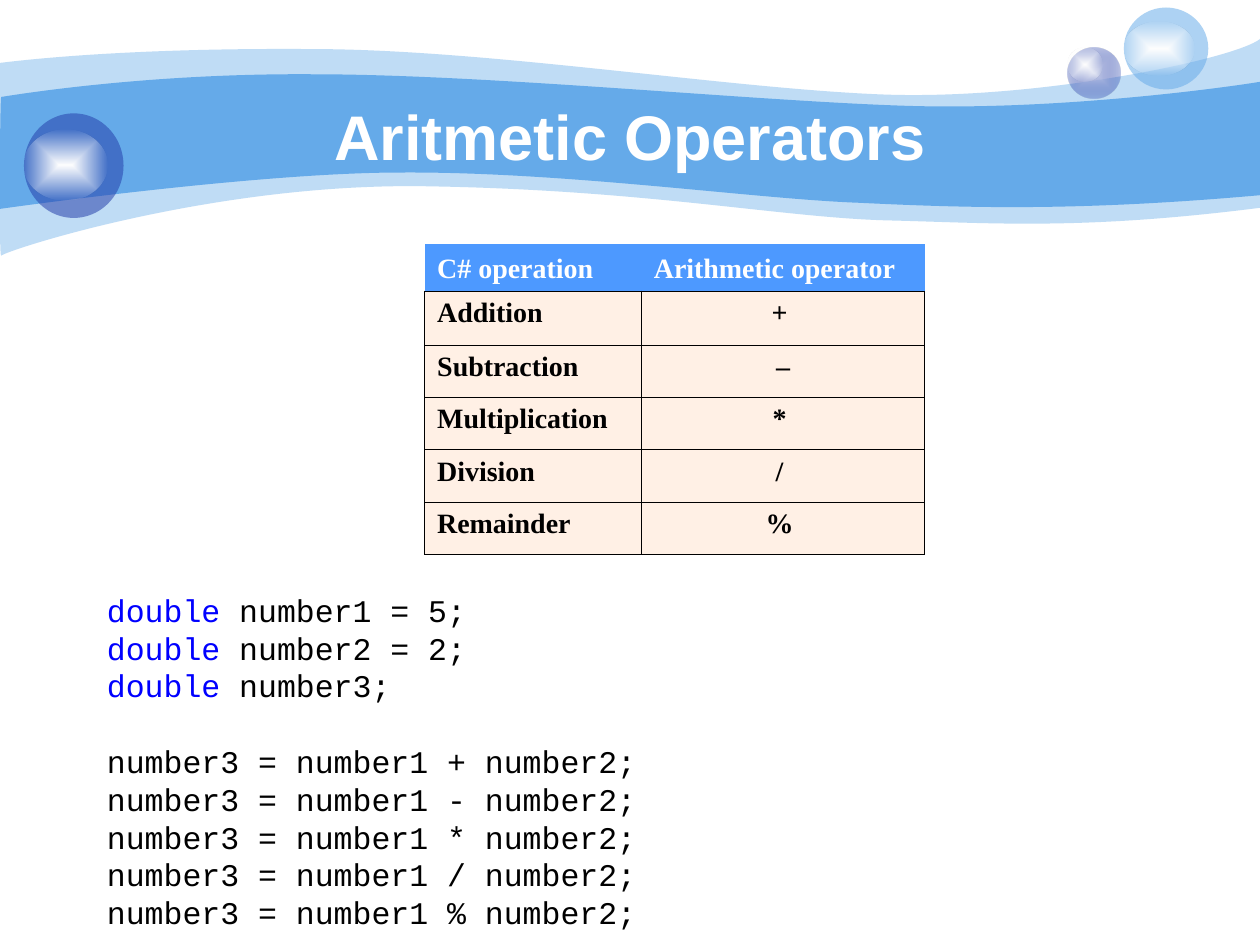
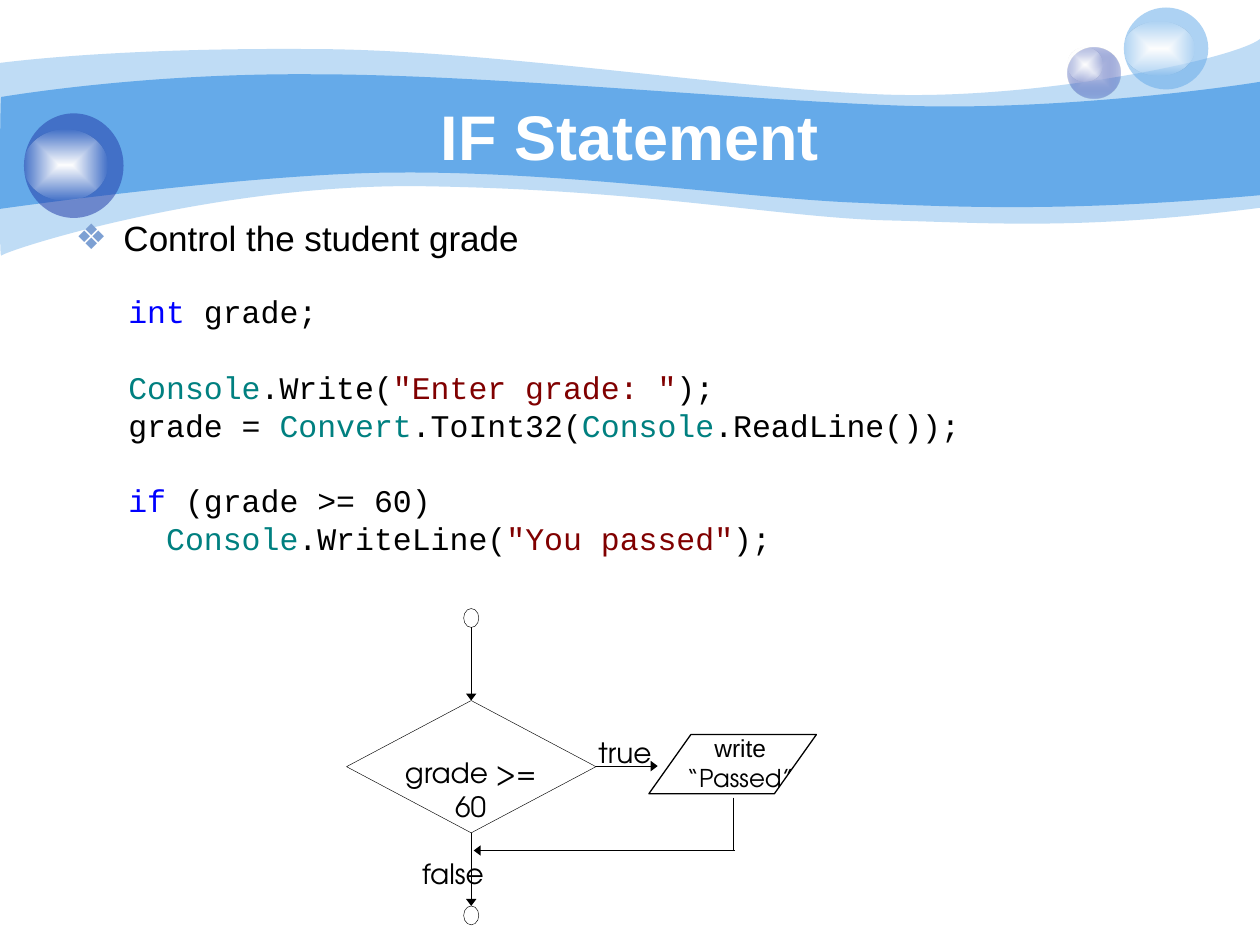
from dataclasses import dataclass
from typing import NamedTuple, Optional

from pptx import Presentation
from pptx import oxml as x
from pptx import util as u
from pptx.dml import color as c
from pptx.enum import shapes, text
from pptx.oxml import ns

Inches, Pt = u.Inches, u.Pt

COLORS = {
    "white": "FFFFFF", "black": "000000", "sky": "65AAE9", "navy": "233DA9",
    "haze": "C7CEE9", "bullet": "7DA0D3", "header": "4D99FF", "row": "FFF0E5",
    "keyword": "0000FF", "type": "008080", "string": "800000",
}
SANS, SERIF, MONO, LABEL = "Arial", "Times New Roman", "Courier New", "TeX Gyre Adventor"
CODE_LINE = 21.6


class Box(NamedTuple):
    left: float
    top: float
    width: float
    height: float

    def lengths(self) -> list:
        return [Inches(value) for value in self]


class Stop(NamedTuple):
    color: str
    alpha: int = 100


@dataclass
class Wave:
    start: tuple
    pieces: list  # six numbers for a curve, two for a straight line
    fill: Stop


@dataclass
class Ball:
    box: Box
    fill: list  # one stop for a plain fill, two from centre to edge


class Arrow(NamedTuple):
    x1: float
    y1: float
    x2: float
    y2: float


class Label(NamedTuple):
    box: Box
    runs: list  # (text, font)
    size: int
    centered: bool = True


class CodeLine(NamedTuple):
    runs: list  # (text, colour name)
    gap: bool = False  # one line of space above


WAVES = [
    Wave((0, 0.5), [
        (0.24, 0.47, 1.07, 0.38, 2.47, 0.39), (3.86, 0.39, 5.75, 0.7, 6.99, 0.75),
        (8.22, 0.8, 9.8, 0.47, 10, 0.31), (10, 1.65),
        (8.58, 1.83, 7.87, 1.77, 7.05, 1.75), (6.22, 1.73, 5.15, 1.51, 3.43, 1.48),
        (1.72, 1.44, 0.04, 1.99, 0.01, 2.03), (-0.01, 2.08, 0, 0.75, 0, 0.5),
    ], Stop("sky", 41)),
    Wave((0.01, 0.77), [
        (0.02, 0.77, 1.1, 0.58, 2.48, 0.59), (3.86, 0.59, 5.95, 0.8, 7.18, 0.84),
        (8.41, 0.88, 9.76, 0.69, 10, 0.65), (10, 1.55),
        (8.53, 1.68, 7.65, 1.65, 6.82, 1.61), (5.99, 1.58, 4.47, 1.36, 3.17, 1.37),
        (2.03, 1.37, -0.02, 1.66, -0.01, 1.66), (0, 1.66, 0, 0.77, 0.01, 0.77),
    ], Stop("sky")),
]
GLOW = [Stop("white"), Stop("white", 0)]
BALLS = [
    Ball(Box(8.47, 0.38, 0.42, 0.4), [Stop("haze"), Stop("navy", 31)]),
    Ball(Box(8.47, 0.38, 0.28, 0.27), GLOW),
    Ball(Box(8.92, 0.06, 0.67, 0.65), [Stop("sky", 53)]),
    Ball(Box(8.92, 0.17, 0.56, 0.43), GLOW),
    Ball(Box(0.19, 0.9, 0.79, 0.83), [Stop("navy", 53)]),
    Ball(Box(0.19, 1.03, 0.66, 0.56), GLOW),
]

OPERATORS = [
    ("C# operation", "Arithmetic operator"), ("Addition", "+ "), ("Subtraction", "–"),
    ("Multiplication", "* "), ("Division", "/ "), ("Remainder", "% "),
]
COLUMN_WIDTHS = [1.72, 2.25]
ROW_HEIGHTS = [0.37, 0.43, 0.41, 0.42, 0.42, 0.41]

ARITHMETIC_CODE = [
    CodeLine([("double", "keyword"), (rest, "black")])
    for rest in (" number1 = 5;", " number2 = 2;", " number3;")
] + [
    CodeLine([(f"number3 = number1 {sign} number2;", "black")], gap=sign == "+")
    for sign in "+-*/%"
]
IF_CODE = [
    CodeLine([("int", "keyword"), (" grade;", "black")]),
    CodeLine([("Console", "type"), (".Write(", "black"),
              ('"Enter grade: "', "string"), (");", "black")], gap=True),
    CodeLine([("grade = ", "black"), ("Convert", "type"), (".ToInt32(", "black"),
              ("Console", "type"), (".ReadLine());", "black")]),
    CodeLine([("if", "keyword"), (" (grade >= 60)", "black")], gap=True),
    CodeLine([("  ", "black"), ("Console", "type"), (".WriteLine(", "black"),
              ('"You passed"', "string"), (");", "black")]),
]

ARROWS = [
    Arrow(3.74, 4.98, 3.74, 5.56), Arrow(3.74, 6.61, 3.74, 7.19),
    Arrow(4.73, 6.08, 5.22, 6.08), Arrow(5.83, 6.75, 3.76, 6.75),
]
RETURN_LINE = Box(5.82, 6.33, 0.17, 0.42)
BRANCH_LABELS = [
    Label(Box(4.75, 5.84, 0.44, 0.29), [("true", LABEL)], 16, centered=False),
    Label(Box(3.35, 6.8, 0.54, 0.29), [("false", LABEL)], 16, centered=False),
]
NODE_LABELS = [
    Label(Box(3.18, 6, 1.11, 0.22), [("grade >= 60", LABEL)], 16),
    Label(Box(5.28, 5.82, 1.19, 0.21), [("write", SANS), (" “Passed”", LABEL)], 14),
]


def rgb(name: str) -> c.RGBColor:
    return c.RGBColor.from_string(COLORS[name])


def style(font, name: str, size: int, color: str, bold: bool = False) -> None:
    font.name, font.size, font.bold = name, Pt(size), bold
    font.color.rgb = rgb(color)


def outline(shape, weight: float = 0.25) -> None:
    shape.line.color.rgb = rgb("black")
    shape.line.width = Pt(weight)


def color_xml(stop: Stop) -> str:
    return (f'<a:srgbClr val="{COLORS[stop.color]}">'
            f'<a:alpha val="{stop.alpha * 1000}"/></a:srgbClr>')


def paint(shape, stops: list) -> None:
    """Fill a shape, without line or shadow, keeping transparency."""
    shape.shadow.inherit = False
    shape.line.fill.background()
    shape.fill.background()
    if len(stops) == 1:
        fill = f'<a:solidFill {ns.nsdecls("a")}>{color_xml(stops[0])}</a:solidFill>'
    else:
        marks = "".join(f'<a:gs pos="{i * 100000}">{color_xml(stop)}</a:gs>'
                        for i, stop in enumerate(stops))
        fill = (f'<a:gradFill {ns.nsdecls("a")} rotWithShape="1"><a:gsLst>{marks}</a:gsLst>'
                '<a:path path="rect"><a:fillToRect l="50000" t="50000" r="50000" b="50000"/>'
                '</a:path></a:gradFill>')
    properties = shape.element.spPr
    properties.replace(properties.find(ns.qn("a:noFill")), x.parse_xml(fill))


def add_wave(slide, wave: Wave):
    """Lay out all control points, then join each three into one curve."""
    points = [piece[i:i + 2] for piece in wave.pieces for i in range(0, len(piece), 2)]
    builder = slide.shapes.build_freeform(*(Inches(v) for v in wave.start))
    builder.add_line_segments([(Inches(px), Inches(py)) for px, py in points])
    shape = builder.convert_to_shape()
    segments = iter(shape.element.xpath(".//a:lnTo"))
    for piece in wave.pieces:
        segment = next(segments)
        if len(piece) == 6:
            curve = x.parse_xml(f'<a:cubicBezTo {ns.nsdecls("a")}/>')
            segment.addprevious(curve)
            for corner in (segment, next(segments), next(segments)):
                curve.append(corner[0])
                corner.getparent().remove(corner)
    paint(shape, [wave.fill])
    return shape


def add_ball(slide, ball: Ball):
    shape = slide.shapes.add_shape(shapes.MSO_SHAPE.OVAL, *ball.box.lengths())
    paint(shape, ball.fill)
    return shape


def decorate_master(presentation, slide) -> None:
    """Draw waves and balls, then hand them to the master, behind its text."""
    drawn = [add_wave(slide, wave) for wave in WAVES] + [add_ball(slide, ball) for ball in BALLS]
    tree = presentation.slide_master.shapes.element
    for index, shape in enumerate(drawn):
        shape.element.xpath(".//p:cNvPr")[0].set("id", str(100 + index))
        tree.insert(2 + index, shape.element)


def place(shape, box: Box) -> None:
    shape.left, shape.top, shape.width, shape.height = box.lengths()


def set_title(slide, words: str) -> None:
    title = slide.shapes.title
    place(title, Box(0.5, 0.45, 9, 1.25))
    frame = title.text_frame
    frame.text = words
    frame.vertical_anchor = text.MSO_ANCHOR.MIDDLE
    frame.paragraphs[0].alignment = text.PP_ALIGN.CENTER
    style(frame.paragraphs[0].runs[0].font, SANS, 36, "white", bold=True)


def add_code(slide, box: Box, lines: list) -> None:
    frame = slide.shapes.add_textbox(*box.lengths()).text_frame
    frame.word_wrap = True
    for index, line in enumerate(lines):
        paragraph = frame.add_paragraph() if index else frame.paragraphs[0]
        paragraph.line_spacing = Pt(CODE_LINE)
        if line.gap:
            paragraph.space_before = Pt(CODE_LINE)
        for words, color in line.runs:
            run = paragraph.add_run()
            run.text = words
            style(run.font, MONO, 18, color)


def set_borders(cell, header: bool) -> None:
    properties = cell._tc.get_or_add_tcPr()
    for index, side in enumerate("LRTB"):
        visible = not header or side == "B"
        fill = f"<a:solidFill>{color_xml(Stop('black'))}</a:solidFill>" if visible else "<a:noFill/>"
        properties.insert(index, x.parse_xml(
            f'<a:ln{side} {ns.nsdecls("a")} w="{Pt(0.45)}">{fill}</a:ln{side}>'))


def add_operator_table(slide) -> None:
    box = Box(3.37, 1.94, sum(COLUMN_WIDTHS), sum(ROW_HEIGHTS))
    table = slide.shapes.add_table(len(OPERATORS), 2, *box.lengths()).table
    for column, width in zip(table.columns, COLUMN_WIDTHS):
        column.width = Inches(width)
    for r, (height, values) in enumerate(zip(ROW_HEIGHTS, OPERATORS)):
        table.rows[r].height = Inches(height)
        header = r == 0
        for k, value in enumerate(values):
            cell = table.cell(r, k)
            cell.text = value
            cell.vertical_anchor = text.MSO_ANCHOR.BOTTOM if header else text.MSO_ANCHOR.TOP
            cell.fill.solid()
            cell.fill.fore_color.rgb = rgb("header" if header else "row")
            set_borders(cell, header)
            paragraph = cell.text_frame.paragraphs[0]
            if k == 1 and not header:
                paragraph.alignment = text.PP_ALIGN.CENTER
            style(paragraph.runs[0].font, SERIF, 16, "white" if header else "black", bold=True)


def set_bullet(slide, words: str) -> None:
    body = slide.placeholders[1]
    place(body, Box(0.5, 1.67, 9, 5.33))
    body.text_frame.text = words
    paragraph = body.text_frame.paragraphs[0]
    properties = paragraph._p.get_or_add_pPr()
    properties.set("marL", str(Inches(0.38)))
    properties.set("indent", str(-Inches(0.38)))
    for item in (f'<a:buClr {ns.nsdecls("a")}><a:srgbClr val="{COLORS["bullet"]}"/></a:buClr>',
                 f'<a:buChar {ns.nsdecls("a")} char="❖"/>'):
        properties.append(x.parse_xml(item))
    paragraph.space_before = Pt(0)
    style(paragraph.runs[0].font, SANS, 20, "black")


def add_node(slide, kind, box: Box, weight: float = 0.25, fill: Optional[str] = None):
    shape = slide.shapes.add_shape(kind, *box.lengths())
    shape.shadow.inherit = False
    shape.fill.background()
    if fill:
        shape.fill.solid()
        shape.fill.fore_color.rgb = rgb(fill)
    outline(shape, weight)
    return shape


def add_arrow(slide, arrow: Arrow) -> None:
    ends = [Inches(value) for value in arrow]
    connector = slide.shapes.add_connector(shapes.MSO_CONNECTOR.STRAIGHT, *ends)
    outline(connector)
    properties = connector.element.spPr
    properties.find(ns.qn("a:ln")).append(
        x.parse_xml(f'<a:tailEnd {ns.nsdecls("a")} type="triangle" w="med" len="sm"/>'))
    properties.append(x.parse_xml(f'<a:effectLst {ns.nsdecls("a")}/>'))


def add_return_line(slide, box: Box) -> None:
    """Draw the left edge of a box as an open outline."""
    left, top, width, height = box.lengths()
    builder = slide.shapes.build_freeform(left, top)
    builder.add_line_segments([(left, top + height)], close=False)
    shape = builder.convert_to_shape()
    shape.element.xpath(".//a:path")[0].set("w", str(width))
    shape.width = width
    shape.shadow.inherit = False
    shape.fill.background()
    outline(shape)


def add_label(slide, label: Label) -> None:
    frame = slide.shapes.add_textbox(*label.box.lengths()).text_frame
    frame.word_wrap = label.centered
    frame.margin_left = frame.margin_right = frame.margin_top = frame.margin_bottom = 0
    paragraph = frame.paragraphs[0]
    if label.centered:
        paragraph.alignment = text.PP_ALIGN.CENTER
    for words, font in label.runs:
        run = paragraph.add_run()
        run.text = words
        style(run.font, font, label.size, "black")


def add_flowchart(slide) -> None:
    for top in (4.83, 7.19):
        add_node(slide, shapes.MSO_SHAPE.OVAL, Box(3.68, top, 0.12, 0.15))
    for arrow in ARROWS:
        add_arrow(slide, arrow)
    add_return_line(slide, RETURN_LINE)
    for label in BRANCH_LABELS:
        add_label(slide, label)
    add_node(slide, shapes.MSO_SHAPE.DIAMOND, Box(2.75, 5.56, 1.98, 1.05), fill="white")
    for label in NODE_LABELS:
        add_label(slide, label)
    output = add_node(slide, shapes.MSO_SHAPE.PARALLELOGRAM, Box(5.15, 5.83, 1.33, 0.47), 0.75)
    output.adjustments[0] = 0.71


def main() -> None:
    presentation = Presentation()
    presentation.slide_width, presentation.slide_height = Inches(10), Inches(7.5)
    layouts = presentation.slide_layouts

    # Arithmetic operators
    slide = presentation.slides.add_slide(layouts.get_by_name("Title Only"))
    decorate_master(presentation, slide)
    set_title(slide, "Aritmetic Operators")
    add_operator_table(slide)
    add_code(slide, Box(0.75, 4.64, 8.75, 2.8), ARITHMETIC_CODE)

    # If statement
    slide = presentation.slides.add_slide(layouts.get_by_name("Title and Content"))
    set_title(slide, "IF Statement")
    set_bullet(slide, "Control the student grade")
    add_code(slide, Box(0.92, 2.27, 7.75, 2.5), IF_CODE)
    add_flowchart(slide)

    presentation.save("out.pptx")


if __name__ == "__main__":
    main()
